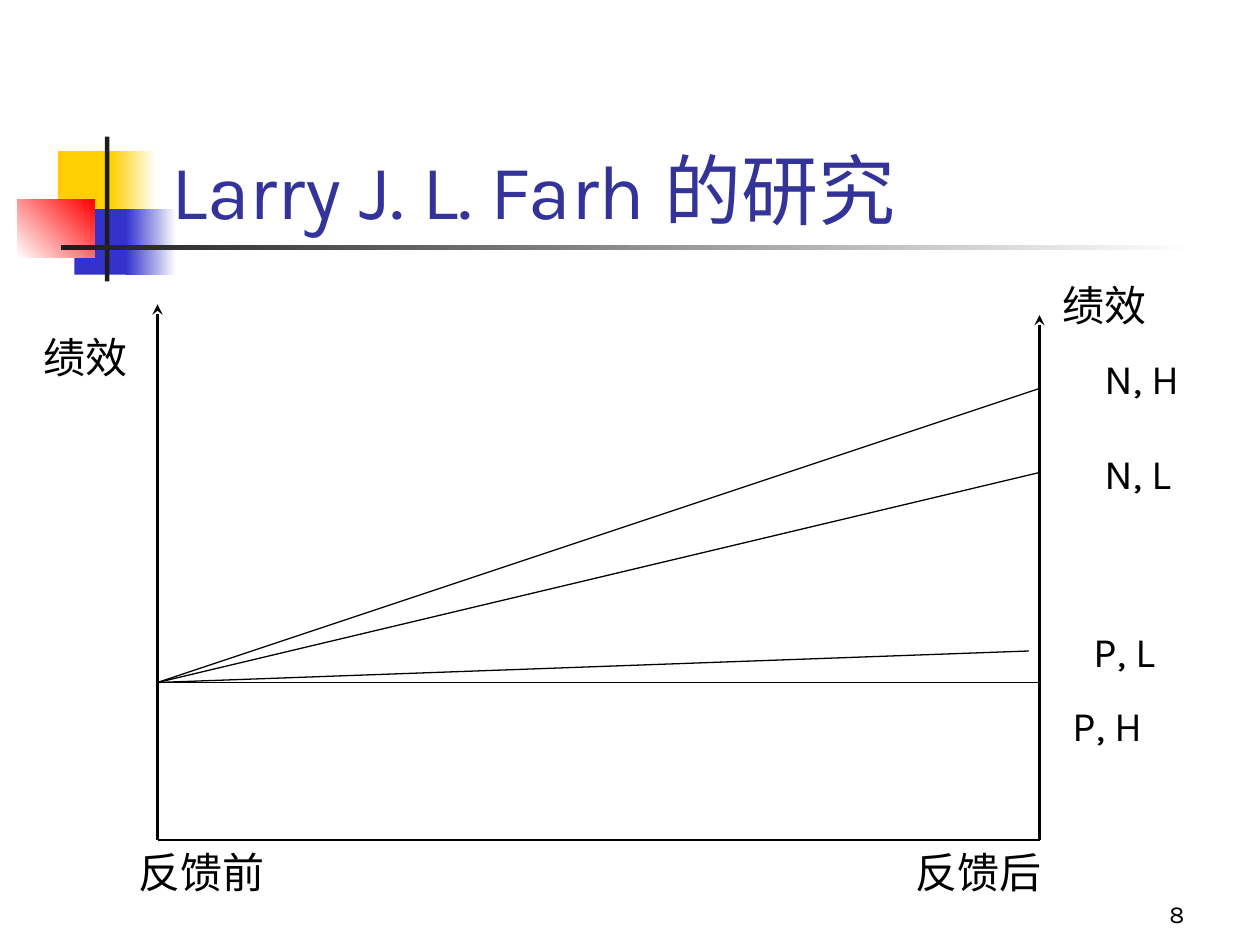
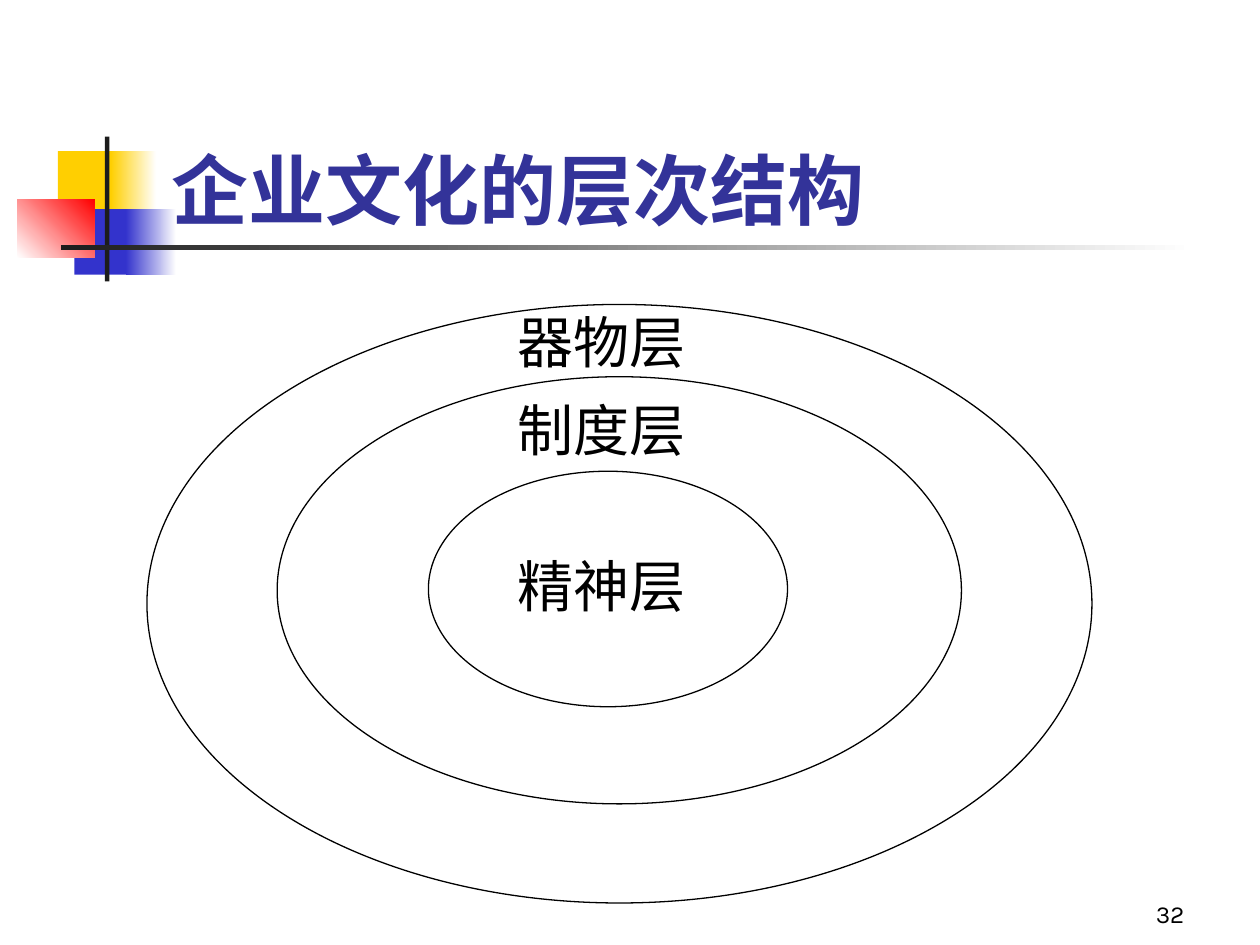
"""Build two slides: a feedback study line diagram and the layers of company culture."""
from lxml import etree
from pptx import Presentation
from pptx.dml.color import RGBColor
from pptx.enum.shapes import MSO_CONNECTOR, MSO_SHAPE
from pptx.enum.text import MSO_ANCHOR, MSO_AUTO_SIZE, PP_ALIGN
from pptx.oxml.ns import qn
from pptx.util import Pt

RECTANGLE, OVAL = MSO_SHAPE.RECTANGLE, MSO_SHAPE.OVAL
STRAIGHT = MSO_CONNECTOR.STRAIGHT
TOP, BOTTOM = MSO_ANCHOR.TOP, MSO_ANCHOR.BOTTOM
LEFT, RIGHT, JUSTIFY = PP_ALIGN.LEFT, PP_ALIGN.RIGHT, PP_ALIGN.JUSTIFY
FIXED, GROW = MSO_AUTO_SIZE.NONE, MSO_AUTO_SIZE.SHAPE_TO_FIT_TEXT

COLOURS = {
    "white": "FFFFFF", "black": "000000", "title": "333399", "yellow": "FFCF01",
    "blue": "3333CC", "red": "FF0000", "ink": "1C1C1C",
}
TITLE_FONT = {"name": "Karla", "size": Pt(44)}
NUMBER_FONT = {"name": "Karla", "size": Pt(14)}
LABEL_FONT = {"name": "Karla", "size": Pt(24)}
LAYER_FONT = {"name": "Times New Roman", "size": Pt(32)}

TITLE_AREA = (90.7, 48, 613.4, 90)
NUMBER_AREA = (534, 498, 150, 36)
BAND = [
    ((33.1, 86.4, 34.6, 37.4), ("yellow",), 0),
    ((63.4, 86.4, 25.9, 37.4), ("yellow", "white"), 0),
    ((42.5, 119.5, 33.1, 37.4), ("blue",), 0),
    ((72, 119.5, 28.8, 37.4), ("blue", "white"), 0),
    ((10, 113.8, 44, 33.5), ("white", "red"), 45),
    ((60, 78, 2.5, 82.8), ("ink",), 0),
    ((34.6, 140.2, 648, 2.5), ("ink", "white"), 0),
]

STUDY = {"title": "Larry J. L. Farh 的研究", "bold": False, "number": "8"}
BEFORE, AFTER, BASE, START = 90, 594, 480, 390
AXIS_TOPS = [(BEFORE, 174), (AFTER, 180)]
TREND_ENDS = [(AFTER, 222), (AFTER, 270), (AFTER, START), (588, 372)]
STUDY_LABELS = [
    ("反馈前", 72, 480, 90), ("反馈后", 516, 480, 90),
    ("绩效", 18, 186, 66), ("绩效", 600, 156, 66),
    ("N, H", 624, 198, 66), ("N, L", 624, 252, 66),
    ("P, L", 618, 354, 66), ("P, H", 606, 396, 66),
]

CULTURE = {"title": "企业文化的层次结构", "bold": True, "number": "32"}
LAYERS = [
    ("器物层", 172, (84, 174, 540, 342)),
    ("制度层", 222.5, (158.4, 215.3, 391, 244.1)),
    ("精神层", 311.8, (244.8, 269.3, 205.2, 134.6)),
]


def colour(name):
    return RGBColor.from_string(COLOURS[name])


def points(values):
    return [Pt(value) for value in values]


def write(box, text, font, ink="black", align=LEFT, anchor=TOP, size_rule=FIXED):
    frame = box.text_frame
    settings = {"word_wrap": True, "auto_size": size_rule, "vertical_anchor": anchor}
    for key, value in settings.items():
        setattr(frame, key, value)
    paragraph = frame.paragraphs[0]
    paragraph.alignment = align
    span = paragraph.add_run()
    span.text = text
    for key, value in font.items():
        setattr(span.font, key, value)
    span.font.color.rgb = colour(ink)


def add_text(page, area, text, font, **options):
    write(page.shapes.add_textbox(*points(area)), text, font, **options)


def add_block(page, area, fills, angle=0):
    block = page.shapes.add_shape(RECTANGLE, *points(area))
    block.shadow.inherit = False
    block.line.fill.background()
    if len(fills) == 1:
        block.fill.solid()
        block.fill.fore_color.rgb = colour(fills[0])
    else:
        block.fill.gradient()
        block.fill.gradient_angle = angle
        for stop, name in zip(block.fill.gradient_stops, fills):
            stop.color.rgb = colour(name)
    return block


def add_line(page, start, end, width=0.75, arrow=False):
    line = page.shapes.add_connector(STRAIGHT, *points(start + end))
    line.line.color.rgb = colour("black")
    line.line.width = Pt(width)
    if arrow:
        outline = line.line._get_or_add_ln()
        etree.SubElement(outline, qn("a:tailEnd"), type="stealth")
    etree.SubElement(line._element.spPr, qn("a:effectLst"))


def add_page(deck, content):
    page = deck.slides.add_slide(deck.slide_layouts[5])
    for area, fills, angle in BAND:
        add_block(page, area, fills, angle)
    title = page.shapes.title
    for side, value in zip(("left", "top", "width", "height"), points(TITLE_AREA)):
        setattr(title, side, value)
    write(title, content["title"], {**TITLE_FONT, "bold": content["bold"]},
          ink="title", anchor=BOTTOM)
    add_text(page, NUMBER_AREA, content["number"], NUMBER_FONT, align=RIGHT, anchor=BOTTOM)
    return page


def build_study(deck):
    page = add_page(deck, STUDY)
    for x, top in AXIS_TOPS:
        add_line(page, (x, BASE), (x, top), width=1.5, arrow=True)
    add_line(page, (BEFORE, BASE), (AFTER, BASE))
    for end in TREND_ENDS:
        add_line(page, (BEFORE, START), end)
    for text, left, top, width in STUDY_LABELS:
        add_text(page, (left, top, width, 36), text, LABEL_FONT, size_rule=GROW)


def build_culture(deck):
    page = add_page(deck, CULTURE)
    for text, top, _ in LAYERS:
        label = add_block(page, (288.5, top, 113.5, 49.7), ("white",))
        write(label, text, LAYER_FONT, align=JUSTIFY)
    for _, _, area in LAYERS:
        ring = page.shapes.add_shape(OVAL, *points(area))
        ring.shadow.inherit = False
        ring.fill.background()
        ring.line.color.rgb = colour("black")
        ring.line.width = Pt(0.75)


def main():
    deck = Presentation()
    deck.slide_width, deck.slide_height = Pt(720), Pt(540)
    build_study(deck)
    build_culture(deck)
    deck.save("out.pptx")


if __name__ == "__main__":
    main()
